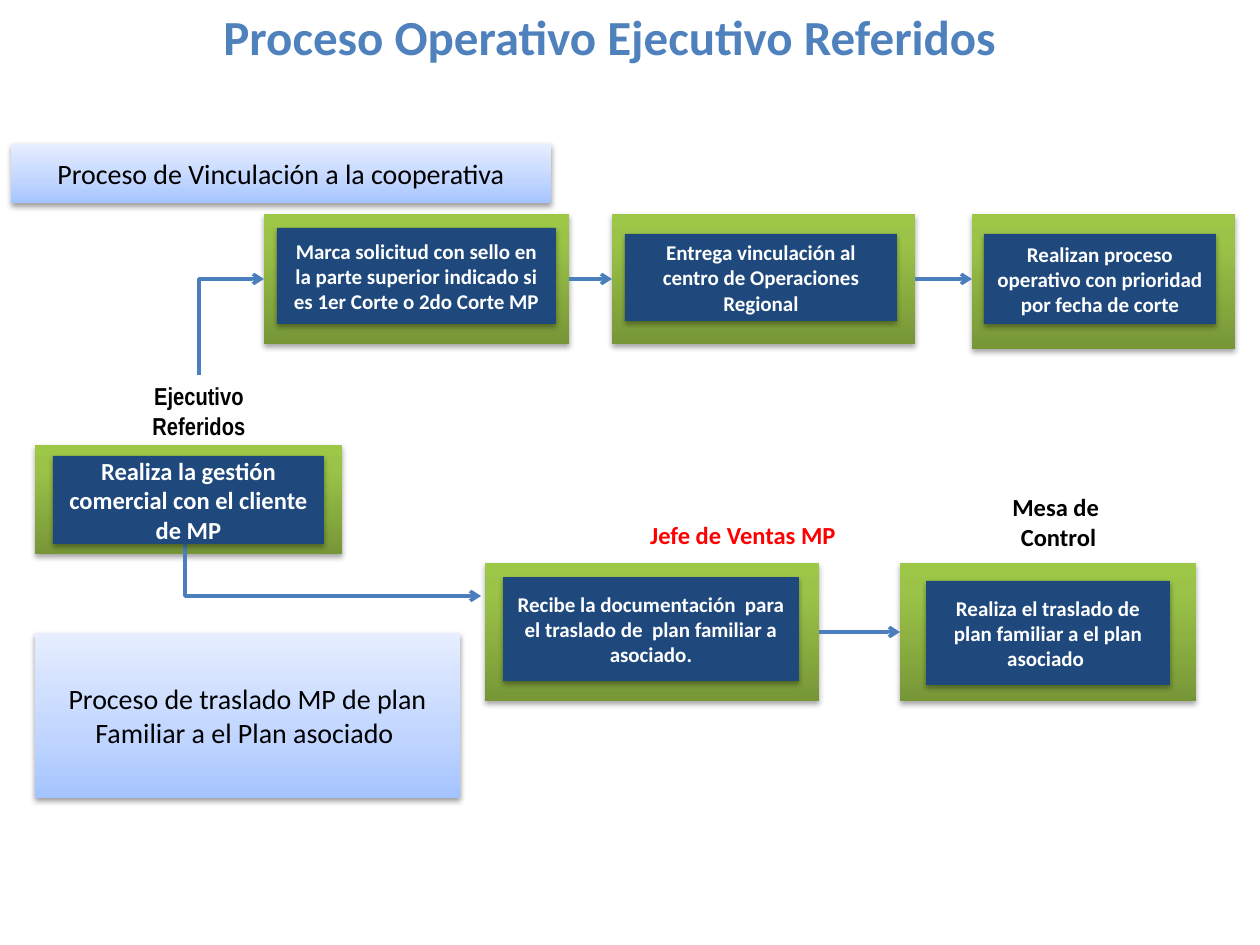
from lxml import etree
from pptx import Presentation
from pptx import util as u
from pptx.dml.color import RGBColor
from pptx.enum import shapes, text
from pptx.oxml import parse_xml
from pptx.oxml.ns import nsdecls, qn

SCALE = 914400 / 126
NAVY, WHITE, BLACK, BLUE = "1F497D", "FFFFFF", "000000", "4B7EBC"
GREEN = [(0, "779737"), (80, "9BC348"), (100, "9DC746")]
SKY = [(0, "A4C4FF"), (35, "BFD4FF"), (100, "E6EEFF")]

# Boxes: left, top, width, height
# Labels: box, paragraphs, size, font, colour
labels = [
    ((25, 0, 1169, 72), ["Proceso Operativo Ejecutivo Referidos"], 28, "Calibri", "4F81BD"),
    ((97, 375, 204, 72), ["Ejecutivo Referidos"], 14, "Arial Narrow", BLACK),
    ((619, 514, 248, 43), ["Jefe de Ventas MP"], 14, "Calibri", "FF0000"),
    ((979, 486, 159, 72), ["Mesa de ", "Control"], 14, "Calibri", BLACK),
]
# Steps: green frame, navy panel, text, size
steps = [
    ((35, 445, 307, 109), (53, 456, 271, 88),
     "Realiza la gestión comercial con el cliente de MP", 14),
    ((264, 214, 305, 130), (277, 228, 279, 96),
     "Marca solicitud con sello en la parte superior indicado si es 1er Corte o 2do Corte MP", 12),
    ((612, 214, 303, 130), (625, 234, 272, 87),
     "Entrega vinculación al centro de Operaciones Regional", 12),
    ((972, 214, 263, 135), (984, 234, 232, 90),
     "Realizan proceso operativo con prioridad por fecha de corte", 12),
    ((485, 563, 334, 138), (503, 577, 296, 104),
     "Recibe la documentación  para el traslado de  plan familiar a asociado.", 12),
    ((900, 563, 296, 138), (926, 581, 244, 104),
     "Realiza el traslado de plan familiar a el plan asociado ", 12),
]
banners = [
    ((35, 633, 425, 165), "Proceso de traslado MP de plan Familiar a el Plan asociado "),
    ((11, 144, 540, 59), "Proceso de Vinculación a la cooperativa"),
]
# Arrows: from, to
arrows = [
    ((569, 279), (612, 279)),
    ((915, 279), (972, 279)),
    ((819, 632), (900, 632)),
    ((199, 375), (264, 279)),
    ((185, 523), (481, 596)),
]


def px(n):
    return u.Emu(round(n * SCALE))


def rgb(code):
    return RGBColor.from_string(code)


def write(shape, paras, size, font, color, bold=True):
    frame = shape.text_frame
    frame.word_wrap = True
    frame.text = "\n".join(paras)
    for para in frame.paragraphs:
        para.alignment = text.PP_ALIGN.CENTER
        for run in para.runs:
            run.font.size, run.font.name, run.font.bold = u.Pt(size), font, bold
            run.font.color.rgb = rgb(color)


def shade(shape, stops):
    shape.fill.gradient()
    grad = shape._element.spPr.find(qn("a:gradFill"))
    rows = "".join(f'<a:gs pos="{pos * 1000}"><a:srgbClr val="{code}"/></a:gs>'
                   for pos, code in stops)
    new = parse_xml(f'<a:gradFill {nsdecls("a")} rotWithShape="1"><a:gsLst>{rows}</a:gsLst>'
                    '<a:lin ang="16200000" scaled="0"/></a:gradFill>')
    grad.getparent().replace(grad, new)


def block(box, fill, kind=shapes.MSO_SHAPE.RECTANGLE, dist=23000, alpha=35):
    shape = slide.shapes.add_shape(kind, *map(px, box))
    if isinstance(fill, str):
        shape.fill.solid()
        shape.fill.fore_color.rgb = rgb(fill)
    else:
        shade(shape, fill)
    shape.line.fill.background()
    shape.shadow.inherit = False
    shape._element.spPr.find(qn("a:effectLst")).append(parse_xml(
        f'<a:outerShdw {nsdecls("a")} blurRad="40000" dist="{dist}" dir="5400000" '
        f'rotWithShape="0"><a:srgbClr val="000000"><a:alpha val="{alpha * 1000}"/>'
        '</a:srgbClr></a:outerShdw>'))
    shape.text_frame.vertical_anchor = text.MSO_ANCHOR.MIDDLE
    return shape


def bend(line, start, end):
    """Make an elbow that leaves vertically and arrives from the left."""
    (x1, y1), (x2, y2) = start, end
    wide, high = abs(y2 - y1), abs(x2 - x1)
    line.left, line.top = px((x1 + x2 - wide) / 2), px((y1 + y2 - high) / 2)
    line.width, line.height = px(wide), px(high)
    props = line._element.spPr
    props.find(qn("a:prstGeom")).set("prst", "bentConnector2")
    up = y2 < y1
    xfrm = props.find(qn("a:xfrm"))
    xfrm.set("rot", "5400000" if up else "16200000")
    xfrm.set("flipH", "1")
    xfrm.set("flipV", "1" if up else "0")


def arrow(start, end):
    kind = shapes.MSO_CONNECTOR
    flat = start[1] == end[1]
    line = slide.shapes.add_connector(kind.STRAIGHT if flat else kind.ELBOW,
                                      *map(px, start + end))
    if not flat:
        bend(line, start, end)
    line.line.width = u.Pt(2)
    line.line.color.rgb = rgb(BLUE)
    props = line._element.spPr
    etree.SubElement(props.find(qn("a:ln")), qn("a:tailEnd"), type="arrow")
    etree.SubElement(props, qn("a:effectLst"))


deck = Presentation()
deck.slide_width, deck.slide_height = u.Inches(10), u.Inches(7.5)
slide = deck.slides.add_slide(deck.slide_layouts[6])

# Title and role labels
for box, paras, size, font, color in labels:
    write(slide.shapes.add_textbox(*map(px, box)), paras, size, font, color)

# Frames, then arrows, then panels on top
for frame, *_ in steps:
    block(frame, GREEN)
for start, end in arrows:
    arrow(start, end)
for _, panel, words, size in steps:
    write(block(panel, NAVY), [words], size, "Calibri", WHITE)

# Process banners
for box, words in banners:
    shape = block(box, SKY, shapes.MSO_SHAPE.FLOWCHART_PROCESS, 20000, 38)
    write(shape, [words], 16, "Calibri", BLACK, False)

deck.save("out.pptx")
